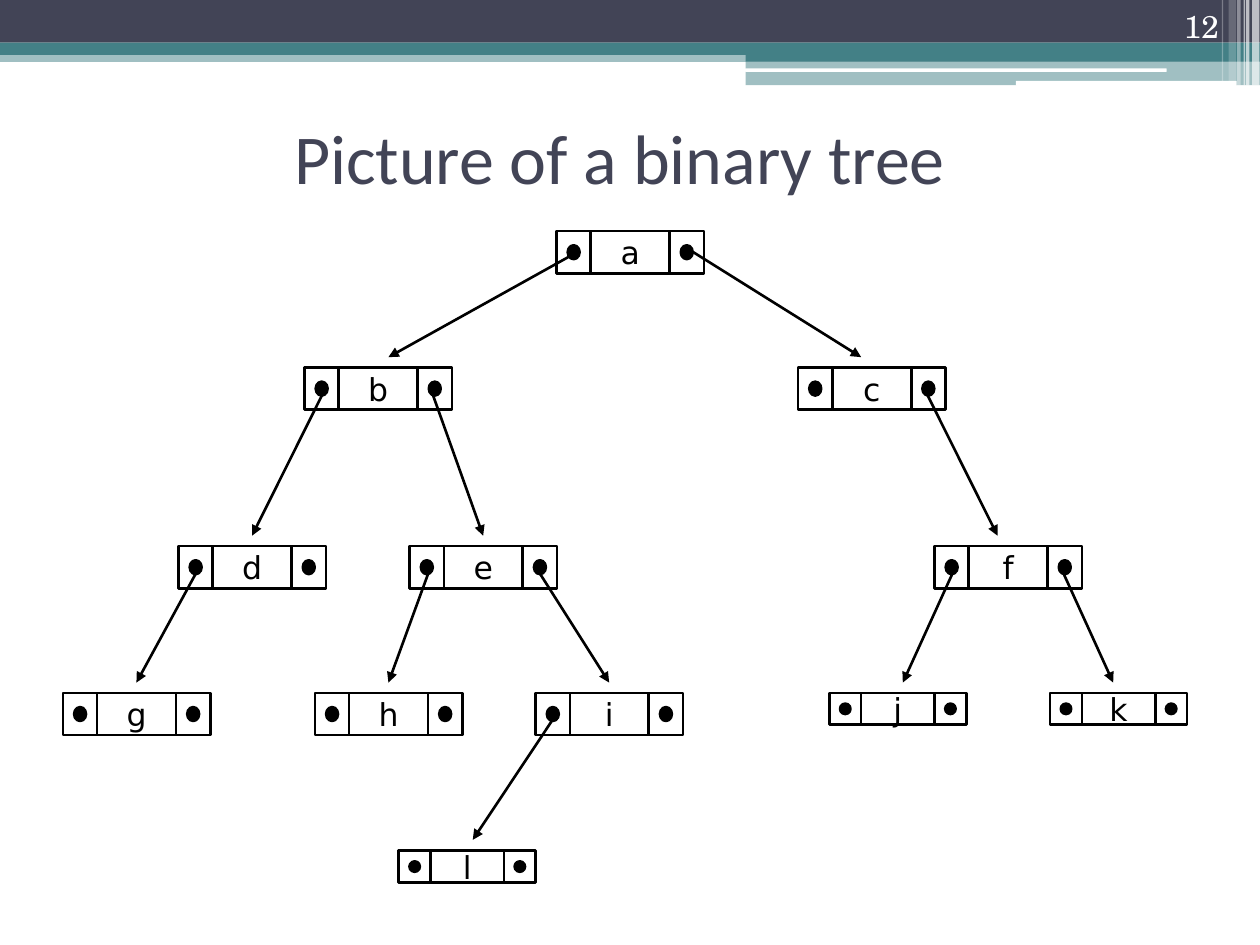
from lxml import etree
from pptx import Presentation
from pptx.dml.color import RGBColor
from pptx.enum.shapes import MSO_CONNECTOR, MSO_SHAPE as Shape
from pptx.enum.text import MSO_ANCHOR as Anchor, PP_ALIGN as Align
from pptx.oxml.ns import qn
from pptx.util import Cm, Pt

COLORS = {"navy": "424456", "teal": "438086", "white": "FFFFFF", "black": "000000"}

# left, top, width, height (cm), colour, opacity in percent
BARS = [
    (0, 1.02, 25.4, 0.23, "teal", 50),
    (0, 0, 25.4, 0.86, "navy", 100),
    (0, 0.86, 25.4, 0.25, "teal", 100),
    (15.03, 0.99, 10.37, 0.25, "teal", 100),
    (15.03, 1.23, 10.37, 0.49, "teal", 50),
]
ROUND_BARS = [(15.02, 1.38, 8.5, 0.07), (20.48, 1.63, 4.45, 0.1)]

# left, width, height (cm), opacity in percent
STRIPES = [
    (25.24, 0.15, 1.73, 65), (25.12, 0.07, 1.73, 65), (25.07, 0.03, 1.73, 60),
    (24.94, 0.07, 1.73, 40), (24.77, 0.15, 1.63, 20), (24.63, 0.03, 1.63, 30),
]

# Cell width, label width, height, dot width, dot height (cm)
LARGE = (0.69, 1.59, 0.85, 0.24, 0.28)
SMALL = (0.64, 1.48, 0.64, 0.21, 0.21)

NODES = [
    ("a", 11.22, 4.66, LARGE),
    ("b", 6.14, 7.41, LARGE), ("c", 16.09, 7.41, LARGE),
    ("d", 3.6, 11.01, LARGE), ("e", 8.26, 11.01, LARGE), ("f", 18.84, 11.01, LARGE),
    ("g", 1.27, 13.97, LARGE), ("h", 6.35, 13.97, LARGE), ("i", 10.8, 13.97, LARGE),
    ("j", 16.72, 13.97, SMALL), ("k", 21.17, 13.97, SMALL),
    ("l", 8.04, 17.15, SMALL),
]

# Start x, start y, end x, end y (cm), from parent to child
EDGES = [
    (11.64, 5.08, 7.83, 7.2), (13.97, 5.08, 17.36, 7.2),        # a to b, c
    (6.56, 7.83, 5.08, 10.8), (8.68, 7.83, 9.74, 10.8),         # b to d, e
    (18.63, 7.83, 20.11, 10.8),                                 # c to f
    (4.02, 11.43, 2.75, 13.76),                                 # d to g
    (8.68, 11.43, 7.83, 13.76), (10.8, 11.43, 12.28, 13.76),    # e to h, i
    (19.26, 11.43, 18.2, 13.76), (21.38, 11.43, 22.44, 13.76),  # f to j, k
    (11.22, 14.39, 9.53, 16.93),                                # i to l
]


def rgb(name):
    return RGBColor.from_string(COLORS[name])


def add_text(sp, text, *, font, size, color="black", align=Align.CENTER,
             anchor=Anchor.MIDDLE, wrap=True, inset=None):
    tf = sp.text_frame
    tf.word_wrap = wrap
    tf.vertical_anchor = anchor
    if inset is not None:
        tf.margin_left = tf.margin_right = tf.margin_top = tf.margin_bottom = inset
    p = tf.paragraphs[0]
    p.alignment = align
    r = p.add_run()
    r.text = text
    r.font.name = font
    r.font.size = Pt(size)
    r.font.color.rgb = rgb(color)


def add_box(shapes, kind, left, top, width, height, fill=None, line=None, opacity=100):
    sp = shapes.add_shape(kind, Cm(left), Cm(top), Cm(width), Cm(height))
    sp.shadow.inherit = False
    if fill:
        sp.fill.solid()
        sp.fill.fore_color.rgb = rgb(fill)
        if opacity < 100:
            clr = sp.fill._xPr.find(".//" + qn("a:srgbClr"))
            etree.SubElement(clr, qn("a:alpha"), val=str(opacity * 1000))
    else:
        sp.fill.background()
    if line:
        sp.line.color.rgb = rgb(line)
        sp.line.width = Pt(1.5)
    else:
        sp.line.fill.background()
    return sp


def add_header(shapes):
    for left, top, width, height, color, opacity in BARS:
        add_box(shapes, Shape.RECTANGLE, left, top, width, height, color, opacity=opacity)
    for bar in ROUND_BARS:
        add_box(shapes, Shape.ROUNDED_RECTANGLE, *bar, "white")
    for left, width, height, opacity in STRIPES:
        add_box(shapes, Shape.RECTANGLE, left, 0, width, height, "white", opacity=opacity)


def add_node(shapes, label, left, top, size):
    """Group a label box with a pointer cell on either side."""
    cell, middle, height, dot_w, dot_h = size
    group = shapes.add_group_shape().shapes
    for x in (left, left + cell + middle):
        add_box(group, Shape.RECTANGLE, x, top, cell, height, line="black")
        add_box(group, Shape.OVAL, x + (cell - dot_w) / 2, top + (height - dot_h) / 2,
                dot_w, dot_h, "black", "black")
    sp = add_box(group, Shape.FLOWCHART_PROCESS, left + cell, top, middle, height,
                 line="black")
    add_text(sp, label, font="DejaVu Sans", size=18, wrap=False, inset=0)


def add_arrow(shapes, *ends):
    cxn = shapes.add_connector(MSO_CONNECTOR.STRAIGHT, *map(Cm, ends))
    cxn.line.color.rgb = rgb("black")
    cxn.line.width = Pt(1.5)
    etree.SubElement(cxn.line._get_or_add_ln(), qn("a:tailEnd"), type="triangle")
    etree.SubElement(cxn._element.spPr, qn("a:effectLst"))


def main():
    prs = Presentation()
    prs.slide_width, prs.slide_height = Cm(25.4), Cm(19.05)
    shapes = prs.slides.add_slide(prs.slide_layouts[6]).shapes

    add_header(shapes)
    title = shapes.add_textbox(Cm(1.06), Cm(1.68), Cm(22.86), Cm(2.97))
    add_text(title, "Picture of a binary tree", font="Calibri", size=40, color="navy")
    number = shapes.add_textbox(Cm(22.7), Cm(0), Cm(2.12), Cm(1.02))
    add_text(number, "12", font="TeX Gyre Schola", size=18, color="white",
             align=Align.RIGHT, anchor=Anchor.BOTTOM)

    for node in NODES:
        add_node(shapes, *node)
    for edge in EDGES:
        add_arrow(shapes, *edge)
    prs.save("out.pptx")


if __name__ == "__main__":
    main()
